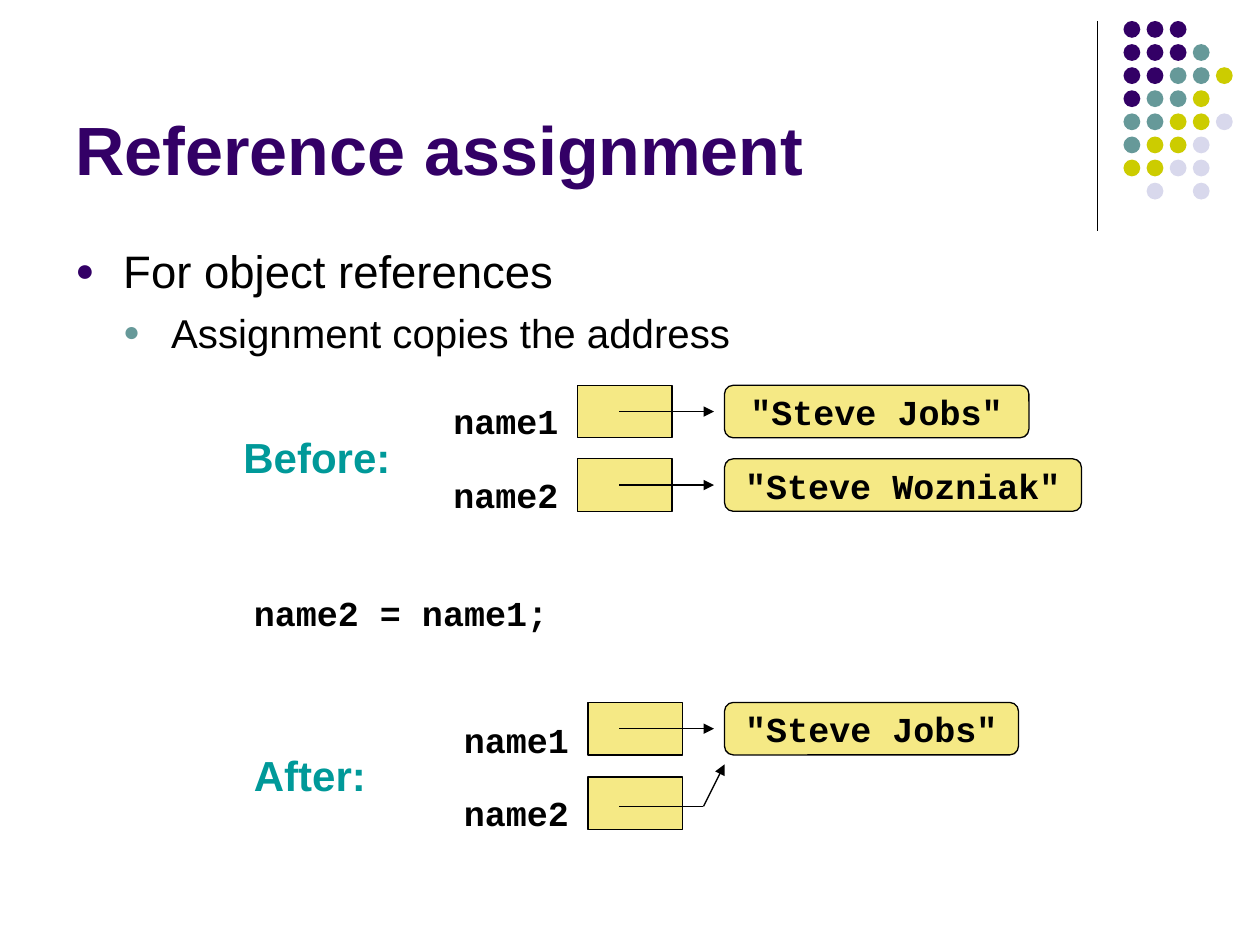
from dataclasses import dataclass
from typing import Any

import lxml.etree
import pptx
import pptx.dml.color
import pptx.enum.shapes
import pptx.enum.text
import pptx.oxml.ns
import pptx.util

RGB = pptx.dml.color.RGBColor
PURPLE = RGB(0x33, 0x00, 0x66)
SAGE = RGB(0x66, 0x99, 0x99)
OLIVE = RGB(0xCC, 0xCC, 0x00)
LAVENDER = RGB(0xD8, 0xD8, 0xEC)
TEAL = RGB(0x00, 0x99, 0x99)
CREAM = RGB(0xF5, 0xE9, 0x85)
BLACK = RGB(0x00, 0x00, 0x00)

SHAPE = pptx.enum.shapes.MSO_SHAPE
ANCHOR = pptx.enum.text.MSO_ANCHOR
CENTER = pptx.enum.text.PP_ALIGN.CENTER
Pt = pptx.util.Pt

# The slide is a grid of 120 columns by 90 rows
COLUMNS, ROWS = 120, 90
WIDTH, HEIGHT = pptx.util.Inches(10), pptx.util.Inches(7.5)

TITLE = {"name": "Arial", "size": Pt(39), "bold": True, "color": PURPLE}
CODE = {"name": "Courier New", "size": Pt(20), "bold": True, "color": BLACK}
STAGE = {"name": "Arial", "size": Pt(24), "bold": True, "color": TEAL}

DOT_COLORS = {"P": PURPLE, "S": SAGE, "O": OLIVE, "L": LAVENDER}
DOT_ROWS = ["PPP", "PPPS", "PPSSO", "PSSO", "SSOOL", "SOOL", "OOLL", " L L"]
DOT_PITCH, DOT_SIZE = 2.2, 1.6

CELL_WIDTH, CELL_HEIGHT = 9, 5
OBJECT_COLUMN = 69
ARROW_START, ARROW_END = 59, 68


@dataclass
class Box:
    col: float
    row: float
    cols: float
    rows: float

    def place(self) -> tuple[int, int, int, int]:
        return x(self.col), y(self.row), x(self.cols), y(self.rows)


@dataclass
class Label:
    text: str
    box: Box
    style: dict[str, Any]


@dataclass
class Variable:
    name: str
    label_col: float
    label_row: float
    cell_col: float
    cell_row: float


@dataclass
class StringObject:
    text: str
    row: float
    cols: float


@dataclass
class Bullet:
    text: str
    size: float
    level: int
    space_before: float
    color: RGB


LABELS = [
    Label("name2 = name1;", Box(23, 55.7, 30.5, 5.3), CODE),
    Label("Before:", Box(22, 40.5, 17, 6), STAGE),
    Label("After:", Box(23, 70.8, 13.5, 6), STAGE),
]
VARIABLES = [
    Variable("name1", 42, 37.5, 55, 36.7),
    Variable("name2", 42, 44.5, 55, 43.7),
    Variable("name1", 43, 67.8, 56, 66.9),
    Variable("name2", 43, 74.8, 56, 74),
]
OBJECTS = [
    StringObject('"Steve Jobs"', 36.7, 29),
    StringObject('"Steve Wozniak"', 43.7, 34),
    StringObject('"Steve Jobs"', 66.9, 28),
]
BULLETS = [
    Bullet("For object references", 26, 0, 6.5, PURPLE),
    Bullet("Assignment copies the address", 23, 1, 5.8, SAGE),
]


def x(columns: float) -> int:
    return round(WIDTH * columns / COLUMNS)


def y(rows: float) -> int:
    return round(HEIGHT * rows / ROWS)


def write(paragraph, text: str, style: dict[str, Any]) -> None:
    run = paragraph.add_run()
    run.text = text
    for key, value in style.items():
        if key == "color":
            run.font.color.rgb = value
        else:
            setattr(run.font, key, value)


def add_label(slide, label: Label, wrap: bool = False, anchor=ANCHOR.TOP) -> None:
    frame = slide.shapes.add_textbox(*label.box.place()).text_frame
    frame.word_wrap = wrap
    frame.vertical_anchor = anchor
    write(frame.paragraphs[0], label.text, label.style)


def add_solid(slide, kind, box: Box, fill: RGB, outlined: bool = True):
    shape = slide.shapes.add_shape(kind, *box.place())
    shape.shadow.inherit = False
    shape.fill.solid()
    shape.fill.fore_color.rgb = fill
    if outlined:
        shape.line.color.rgb = BLACK
        shape.line.width = Pt(0.75)
    else:
        shape.line.fill.background()
    return shape


def add_line(slide, start: tuple[float, float], end: tuple[float, float], arrow: bool = False) -> None:
    line = slide.shapes.add_connector(
        pptx.enum.shapes.MSO_CONNECTOR.STRAIGHT, x(start[0]), y(start[1]), x(end[0]), y(end[1]))
    line.line.color.rgb = BLACK
    line.line.width = Pt(0.75)
    if arrow:
        lxml.etree.SubElement(line.line._get_or_add_ln(), pptx.oxml.ns.qn("a:tailEnd"), type="triangle")
    lxml.etree.SubElement(line._element.spPr, pptx.oxml.ns.qn("a:effectLst"))


def add_bullets(slide, box: Box, bullets: list[Bullet]) -> None:
    frame = slide.shapes.add_textbox(*box.place()).text_frame
    frame.word_wrap = True
    indent = pptx.util.Inches(0.38)
    for index, bullet in enumerate(bullets):
        paragraph = frame.add_paragraph() if index else frame.paragraphs[0]
        paragraph.level = bullet.level
        paragraph.space_before = Pt(bullet.space_before)
        write(paragraph, bullet.text, {"name": "Arial", "size": Pt(bullet.size), "color": BLACK})
        properties = paragraph._p.get_or_add_pPr()
        properties.set("marL", str(indent * (bullet.level + 1)))
        properties.set("indent", str(-indent))
        color = lxml.etree.SubElement(properties, pptx.oxml.ns.qn("a:buClr"))
        lxml.etree.SubElement(color, pptx.oxml.ns.qn("a:srgbClr"), val=str(bullet.color))
        lxml.etree.SubElement(properties, pptx.oxml.ns.qn("a:buSzPct"), val="70000")
        lxml.etree.SubElement(properties, pptx.oxml.ns.qn("a:buFont"), typeface="Arial")
        lxml.etree.SubElement(properties, pptx.oxml.ns.qn("a:buChar"), char="●")


def add_variable(slide, variable: Variable) -> None:
    cell = Box(variable.cell_col, variable.cell_row, CELL_WIDTH, CELL_HEIGHT)
    add_solid(slide, SHAPE.RECTANGLE, cell, CREAM)
    name_box = Box(variable.label_col, variable.label_row, 12.5, 5.3)
    add_label(slide, Label(variable.name, name_box, CODE))


def add_object(slide, item: StringObject) -> None:
    box = Box(OBJECT_COLUMN, item.row, item.cols, CELL_HEIGHT)
    frame = add_solid(slide, SHAPE.ROUNDED_RECTANGLE, box, CREAM).text_frame
    frame.word_wrap = False
    frame.vertical_anchor = ANCHOR.MIDDLE
    frame.paragraphs[0].alignment = CENTER
    write(frame.paragraphs[0], item.text, CODE)
    middle = item.row + CELL_HEIGHT / 2
    add_line(slide, (ARROW_START, middle), (ARROW_END, middle), arrow=True)


def main() -> None:
    deck = pptx.Presentation()
    deck.slide_width, deck.slide_height = WIDTH, HEIGHT
    slide = deck.slides.add_slide(deck.slide_layouts[6])

    # Corner decoration
    add_line(slide, (104.5, 2), (104.5, 22))
    for row, dots in enumerate(DOT_ROWS):
        for col, key in enumerate(dots):
            if key in DOT_COLORS:
                dot = Box(107 + col * DOT_PITCH, 2 + row * DOT_PITCH, DOT_SIZE, DOT_SIZE)
                add_solid(slide, SHAPE.OVAL, dot, DOT_COLORS[key], outlined=False)

    # Title and bullets
    add_label(slide, Label("Reference assignment", Box(6, 1.6, 99, 17), TITLE), True, ANCHOR.BOTTOM)
    add_bullets(slide, Box(6, 22.6, 108, 57.8), BULLETS)

    # Before and after diagrams
    for label in LABELS:
        add_label(slide, label)
    for variable in VARIABLES:
        add_variable(slide, variable)
    for item in OBJECTS:
        add_object(slide, item)

    # Redirected reference of name2
    add_line(slide, (ARROW_START, 76.8), (67, 76.8))
    add_line(slide, (67, 76.8), (OBJECT_COLUMN, 72.8), arrow=True)

    deck.save("out.pptx")


if __name__ == "__main__":
    main()
